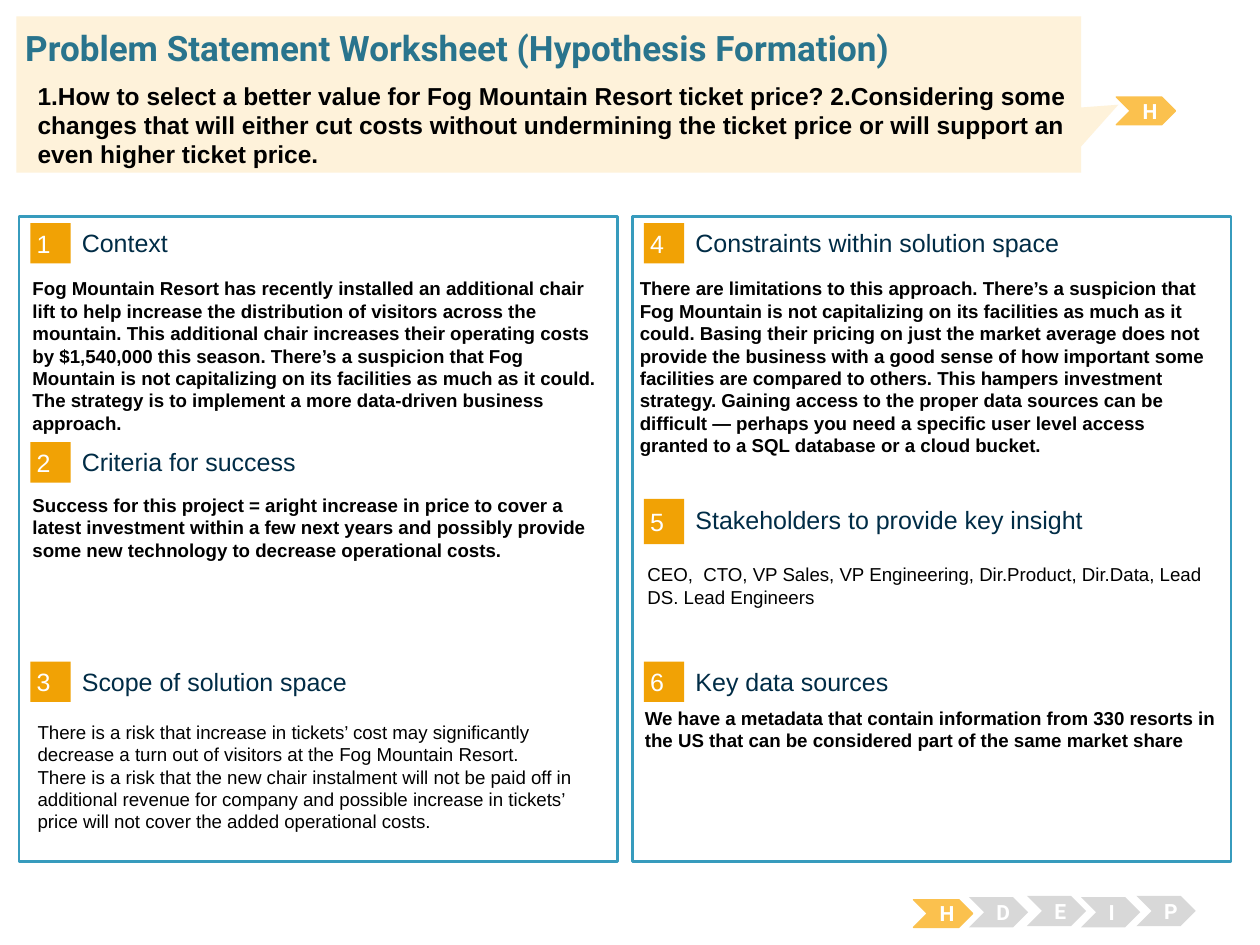
from lxml import etree
from pptx import Presentation
from pptx.dml.color import RGBColor
from pptx.enum.shapes import MSO_SHAPE
from pptx.enum.text import MSO_ANCHOR, MSO_AUTO_SIZE, PP_ALIGN
from pptx.util import Inches, Pt

RECTANGLE = MSO_SHAPE.RECTANGLE
CHEVRON = MSO_SHAPE.CHEVRON
CALLOUT = MSO_SHAPE.RECTANGULAR_CALLOUT
TOP, MIDDLE = MSO_ANCHOR.TOP, MSO_ANCHOR.MIDDLE
LEFT, CENTER = PP_ALIGN.LEFT, PP_ALIGN.CENTER

COLORS = {
    "white": "FFFFFF", "black": "000000", "navy": "002C46", "teal": "29748D",
    "border": "379BBD", "orange": "F1A205", "amber": "FBC14E",
    "gray": "D8D8D8", "cream": "FEF2DA",
}
BODY_INSETS = (0.1, 0.05)
COLUMN_TOP, COLUMN_WIDTH, COLUMN_HEIGHT = 1.72, 4.75, 5.12
BODY_WIDTH = 4.73

TITLE = "Problem Statement Worksheet (Hypothesis Formation)"
QUESTION = (
    "1.How to select a better value for Fog Mountain Resort ticket price? "
    "2.Considering some changes that will either cut costs without undermining "
    "the ticket price or will support an even higher ticket price."
)

# Each section: number, heading, badge top, badge height,
# body offset from the column, body top, body height, bold, paragraphs
LEFT_SECTIONS = [
    ("1", "Context", 1.77, 0.32, 0.01, 2.15, 1.36, True, [
        "Fog Mountain Resort has recently installed an additional chair lift to "
        "help increase the distribution of visitors across the mountain. This "
        "additional chair increases their operating costs by $1,540,000 this "
        "season. There’s a suspicion that Fog Mountain is not capitalizing on its "
        "facilities as much as it could. The strategy is to implement a more "
        "data-driven business approach."]),
    ("2", "Criteria for success", 3.51, 0.32, 0.01, 3.87, 1.54, True, [
        "Success for this project = aright increase in price to cover a latest "
        "investment within a few next years and possibly provide some new "
        "technology to decrease operational costs."]),
    ("3", "Scope of solution space", 5.25, 0.32, 0.05, 5.67, 1.07, False, [
        "There is a risk that increase in tickets’ cost may significantly "
        "decrease a turn out of visitors at the Fog Mountain Resort.",
        "There is a risk that the new chair instalment will not be paid off in "
        "additional revenue for company and possible increase in tickets’ price "
        "will not cover the added operational costs."]),
]
RIGHT_SECTIONS = [
    ("4", "Constraints within solution space", 1.77, 0.32, -0.04, 2.15, 1.18, True, [
        "There are limitations to this approach. There’s a suspicion that Fog "
        "Mountain is not capitalizing on its facilities as much as it could. "
        "Basing their pricing on just the market average does not provide the "
        "business with a good sense of how important some facilities are compared "
        "to others. This hampers investment strategy. Gaining access to the proper "
        "data sources can be difficult — perhaps you need a specific user level "
        "access granted to a SQL database or a cloud bucket."]),
    ("5", "Stakeholders to provide key insight", 3.96, 0.36, 0.02, 4.42, 0.65, False, [
        "CEO,  CTO, VP Sales, VP Engineering, Dir.Product, Dir.Data, Lead DS. "
        "Lead Engineers"]),
    ("6", "Key data sources", 5.25, 0.32, 0, 5.56, 1.18, True, [
        "We have a metadata that contain information from 330 resorts in the US "
        "that can be considered part of the same market share"]),
]
STEPS = [("H", 7.25, 7.14), ("D", 7.69, 7.12), ("E", 8.15, 7.11),
         ("I", 8.58, 7.12), ("P", 9.02, 7.11)]


def color(name):
    return RGBColor.from_string(COLORS[name])


def write(shape, paragraphs, size, color_name, bold=False, font="Arial",
          align=LEFT, anchor=TOP, insets=(0, 0)):
    frame = shape.text_frame
    frame.auto_size = MSO_AUTO_SIZE.NONE
    frame.word_wrap = True
    frame.vertical_anchor = anchor
    frame.margin_left = frame.margin_right = Inches(insets[0])
    frame.margin_top = frame.margin_bottom = Inches(insets[1])
    frame.text = "\n".join(paragraphs)
    for paragraph in frame.paragraphs:
        paragraph.alignment = align
        paragraph.font.name = font
        paragraph.font.size = Pt(size)
        paragraph.font.bold = bold
        paragraph.font.color.rgb = color(color_name)


def add_text(slide, box, paragraphs, size, color_name, **style):
    shape = slide.shapes.add_textbox(*map(Inches, box))
    write(shape, paragraphs, size, color_name, **style)


def add_block(slide, kind, box, fill, line=None, line_width=0.75):
    shape = slide.shapes.add_shape(kind, *map(Inches, box))
    shape.shadow.inherit = False
    shape.fill.solid()
    shape.fill.fore_color.rgb = color(fill)
    if line:
        shape.line.color.rgb = color(line)
        shape.line.width = Pt(line_width)
    else:
        shape.line.fill.background()
    return shape


def add_step(slide, letter, left, top, active):
    """Draw one chevron of the process tracker."""
    box = (left, top, 0.47, 0.22 if active else 0.24)
    fill = "amber" if active else "gray"
    chevron = add_block(slide, CHEVRON, box, fill, "amber" if active else None)
    write(chevron, [letter], 12, "white", bold=True, font="Roboto",
          align=CENTER, anchor=MIDDLE, insets=BODY_INSETS)


def add_section(slide, column_left, section):
    (number, heading, top, height,
     body_offset, body_top, body_height, bold, paragraphs) = section
    badge = add_block(slide, RECTANGLE, (column_left + 0.09, top, 0.32, height), "orange")
    write(badge, [number], 14.3, "white", anchor=MIDDLE, insets=(0.05, 0.05))
    heading_top = 3.92 if number == "5" else top + 0.03
    heading_height = 0.4 if number == "5" else 0.25
    add_text(slide, (column_left + 0.5, heading_top, 3.93, heading_height),
             [heading], 14.3, "navy", anchor=MIDDLE)
    add_text(slide, (column_left + body_offset, body_top, BODY_WIDTH, body_height),
             paragraphs, 10.7, "black", bold=bold, insets=BODY_INSETS)


def add_column(slide, left, sections):
    add_block(slide, RECTANGLE, (left, COLUMN_TOP, COLUMN_WIDTH, COLUMN_HEIGHT),
              "white", "border", 1.5)
    for section in sections:
        add_section(slide, left, section)


def add_header(slide, left, top):
    """Draw the callout with the title and the question on it."""
    add_step(slide, "H", 8.86, 0.77, active=True)
    callout = add_block(slide, CALLOUT, (left, top, 8.45, 1.24), "cream")
    callout.adjustments[0] = 0.535
    callout.adjustments[1] = 0.066

    title = slide.shapes.title
    title.left, title.top = Inches(left + 0.07), Inches(top + 0.08)
    title.width, title.height = Inches(9.62), Inches(0.34)
    write(title, [TITLE], 20, "teal", bold=True, font="Roboto")
    title.element.getparent().append(title.element)  # in front of the callout

    add_text(slide, (left + 0.07, top + 0.46, 8.56, 0.54), [QUESTION], 14,
             "black", bold=True, insets=BODY_INSETS)


def main():
    presentation = Presentation()
    presentation.slide_width, presentation.slide_height = Inches(10), Inches(7.5)
    slide = presentation.slides.add_slide(presentation.slide_layouts[5])
    add_column(slide, 0.15, LEFT_SECTIONS)
    add_column(slide, 5.02, RIGHT_SECTIONS)
    for letter, left, top in STEPS:
        add_step(slide, letter, left, top, active=letter == "H")
    add_header(slide, 0.13, 0.13)
    presentation.save("out.pptx")


if __name__ == "__main__":
    main()
